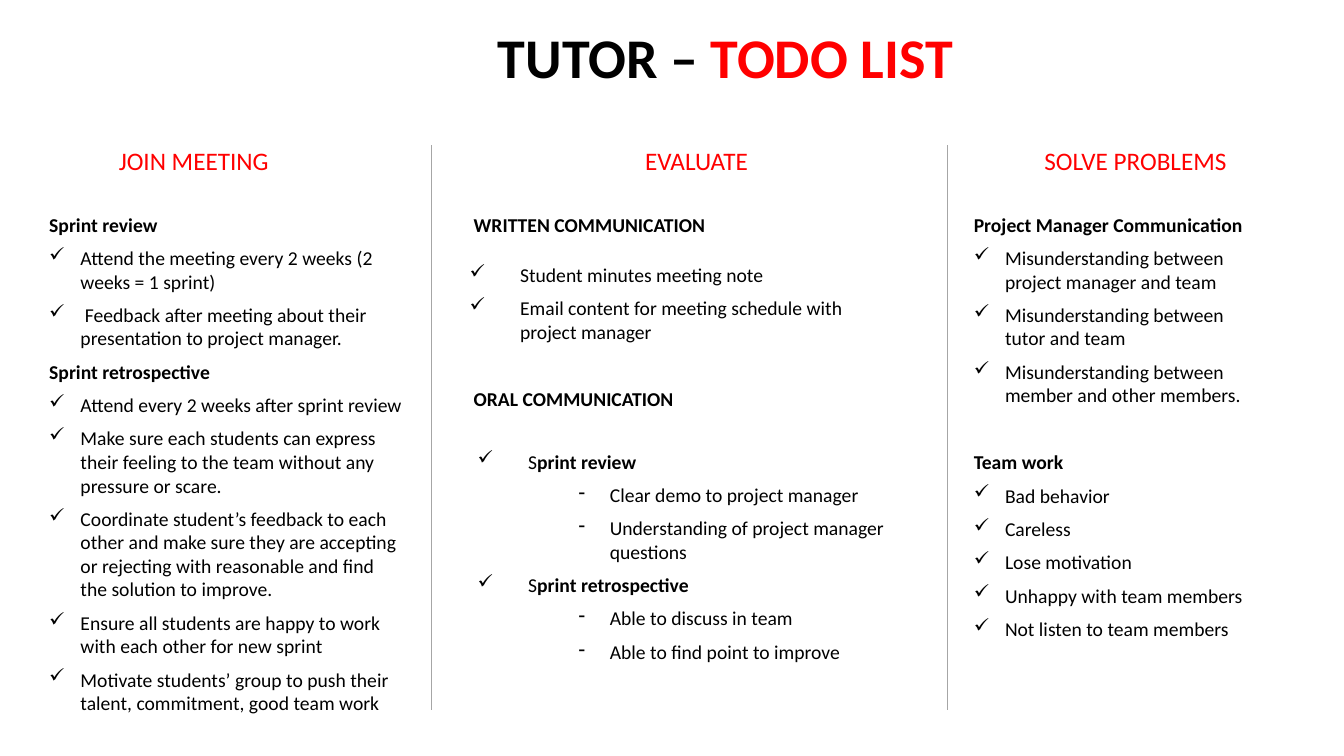
"""Build the tutor to-do list slide with three columns of duties."""
from lxml import etree
from pptx import Presentation
from pptx.dml.color import RGBColor
from pptx.enum.shapes import MSO_CONNECTOR
from pptx.enum.text import MSO_AUTO_SIZE
from pptx.oxml.ns import qn
from pptx.util import Pt

PX = 9144
COLORS = {"text": "000000", "accent": "FF0000", "divider": "A6A6A6"}
LEVELS = {
    "check": (0, 31, 31, "✓"),
    "wide check": (0, 50, 50, "✓"),
    "dash": (2, 131, 31, "-"),
}

prs = Presentation()
prs.slide_width, prs.slide_height = 1333 * PX, 750 * PX
slide = prs.slides.add_slide(prs.slide_layouts[6])


def add_box(left, top, width, height, wrap):
    frame = slide.shapes.add_textbox(left * PX, top * PX, width * PX, height * PX).text_frame
    frame.word_wrap = wrap
    frame.auto_size = MSO_AUTO_SIZE.SHAPE_TO_FIT_TEXT
    return frame


def style(paragraph, size, color="text", bold=None):
    font = paragraph.font
    font.name, font.size, font.bold = "Calibri", Pt(size), bold
    font.color.rgb = RGBColor.from_string(COLORS[color])


title = add_box(484, 17, 475, 77, False).paragraphs[0]
style(title, 40, bold=True)
title.add_run().text = "TUTOR – "
todo = title.add_run()
todo.text = "TODO LIST"
todo.font.color.rgb = RGBColor.from_string(COLORS["accent"])

for label, left, top, width, height, size, color, bold in [
    ("JOIN MEETING", 108, 139, 170, 40, 18, "accent", False),
    ("EVALUATE", 630, 139, 123, 40, 18, "accent", False),
    ("SOLVE PROBLEMS", 1026, 139, 203, 40, 18, "accent", False),
    ("WRITTEN COMMUNICATION", 460, 206, 252, 34, 14, "text", True),
    ("ORAL COMMUNICATION", 460, 379, 220, 34, 14, "text", True),
]:
    heading = add_box(left, top, width, height, False).paragraphs[0]
    heading.add_run().text = label
    style(heading, size, color, bold)

for x in (428, 940):
    divider = slide.shapes.add_connector(MSO_CONNECTOR.STRAIGHT, x * PX, 144 * PX, x * PX, 704 * PX)
    divider.line.color.rgb = RGBColor.from_string(COLORS["divider"])
    divider.line.width = Pt(0.5)
    etree.SubElement(divider._element.spPr, qn("a:effectLst"))

meetings = [
    ("head", "Sprint review"),
    ("check", "Attend the meeting every 2 weeks (2 weeks = 1 sprint)"),
    ("check", " Feedback after meeting about their presentation to project manager."),
    ("head", "Sprint retrospective"),
    ("check", "Attend every 2 weeks after sprint review"),
    ("check", "Make sure each students can express their feeling to the team without any pressure or scare."),
    ("check", "Coordinate student’s feedback to each other and make sure they are accepting or rejecting "
              "with reasonable and find the solution to improve."),
    ("check", "Ensure all students are happy to work with each other for new sprint"),
    ("check", "Motivate students’ group to push their talent, commitment, good team work"),
]
written = [
    ("wide check", "Student minutes meeting note"),
    ("wide check", "Email content for meeting schedule with project manager"),
]
oral = [
    ("wide check", "S", "print review"),
    ("dash", "Clear demo to project manager"),
    ("dash", "Understanding of project manager questions"),
    ("wide check", "S", "print retrospective"),
    ("dash", "Able to discuss in team"),
    ("dash", "Able to find point to improve"),
]
problems = [
    ("head", "Project Manager Communication"),
    ("check", "Misunderstanding between project manager and team"),
    ("check", "Misunderstanding between tutor and team"),
    ("check", "Misunderstanding between member and other members."),
    ("spaced head", "Team work"),
    ("check", "Bad behavior"),
    ("check", "Careless"),
    ("check", "Lose motivation"),
    ("check", "Unhappy with team members"),
    ("check", "Not listen to team members"),
]

for duties, left, top, width, height in [
    (meetings, 39, 206, 373, 528),
    (written, 456, 256, 401, 93),
    (oral, 464, 441, 426, 234),
    (problems, 956, 206, 304, 458),
]:
    frame = add_box(left, top, width, height, True)
    for index, (kind, text, *bold_tail) in enumerate(duties):
        duty = frame.add_paragraph() if index else frame.paragraphs[0]
        duty.space_before = Pt(0 if index == 0 else 31 if kind == "spaced head" else 7)
        if kind in LEVELS:
            duty.level, margin, hanging, mark = LEVELS[kind]
            properties = duty._p.get_or_add_pPr()
            properties.set("marL", str(margin * PX))
            properties.set("indent", str(-hanging * PX))
            etree.SubElement(properties, qn("a:buChar"), char=mark)
        style(duty, 14, bold=kind not in LEVELS)
        duty.add_run().text = text
        for tail in bold_tail:
            run = duty.add_run()
            run.text = tail
            run.font.bold = True

prs.save("out.pptx")
